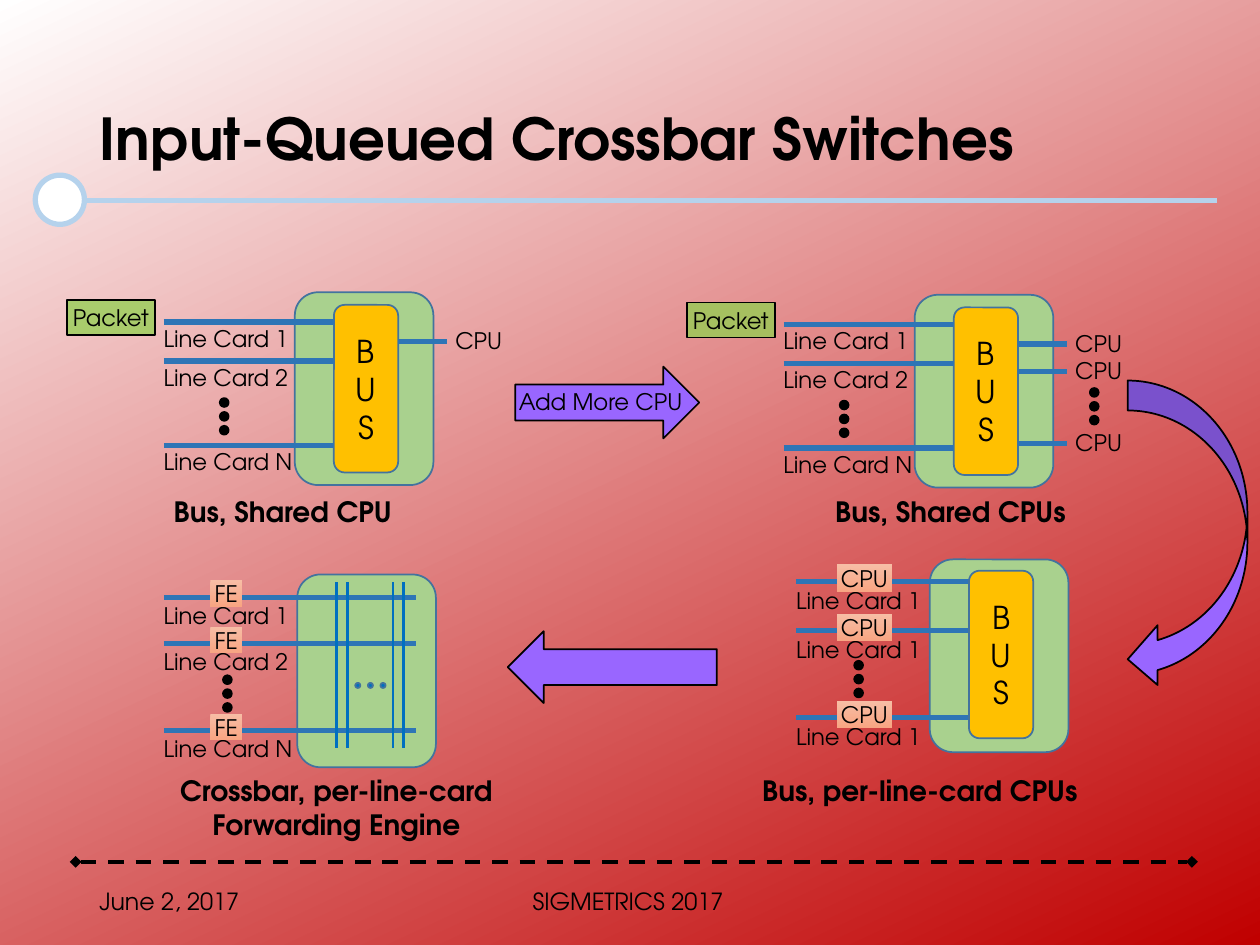
from dataclasses import dataclass

from lxml.etree import SubElement
from pptx import Presentation
from pptx.dml.color import RGBColor
from pptx.enum.dml import MSO_LINE_DASH_STYLE as Dash
from pptx.enum.shapes import MSO_CONNECTOR, MSO_SHAPE as Shape
from pptx.enum.text import MSO_ANCHOR as Anchor, MSO_AUTO_SIZE as AutoSize, PP_ALIGN as Align
from pptx.oxml.ns import qn
from pptx.util import Inches, Pt


@dataclass(frozen=True)
class Theme:
    font: str = "TeX Gyre Adventor"
    ink: str = "000000"
    paper: str = "FFFFFF"
    corner: str = "C00000"
    rule: str = "B5D2EC"
    card: str = "2E75B6"
    lane: str = "0070C0"
    edge: str = "43739E"
    case: str = "A9D18E"
    bus: str = "FFC000"
    packet: str = "92D050"
    arrow: str = "9966FF"
    chip: tuple = ("F7BDA5", "F8A582")
    title_size: float = 33
    bus_size: float = 18
    caption_size: float = 16
    footer_size: float = 13.5
    label_size: float = 13


T = Theme()
WIDTH, HEIGHT = Inches(10), Inches(7.5)
COL, ROW = WIDTH // 100, HEIGHT // 75


def place(x, y, w, h):
    return int(x * COL), int(y * ROW), int(w * COL), int(h * ROW)


def rgb(value):
    return RGBColor.from_string(value)


def blend(fill, colors, angle):
    fill.gradient()
    fill.gradient_angle = 360 - angle
    for stop, color in zip(fill.gradient_stops, colors):
        stop.color.rgb = rgb(color)


def write(tf, text, size, bold=False, align=Align.LEFT, anchor=Anchor.TOP, wrap=True):
    tf.text = text
    tf.word_wrap = wrap
    tf.vertical_anchor = anchor
    for p in tf.paragraphs:
        p.alignment = align
        for r in p.runs:
            r.font.size = Pt(size)
            r.font.bold = bold
            r.font.color.rgb = rgb(T.ink)
            r.font.name = T.font


def add_text(slide, text, box, size=T.label_size, **style):
    s = slide.shapes.add_textbox(*place(*box))
    write(s.text_frame, text, size, **style)


def add_block(slide, kind, box, fill, line=None, width=1):
    s = slide.shapes.add_shape(kind, *place(*box))
    s.shadow.inherit = False
    if isinstance(fill, tuple):
        blend(s.fill, fill, 90)
    else:
        s.fill.solid()
        s.fill.fore_color.rgb = rgb(fill)
    if line:
        s.line.color.rgb = rgb(line)
        s.line.width = Pt(width)
    else:
        s.line.fill.background()
    return s


def add_tag(slide, text, box, fill, line=None):
    s = add_block(slide, Shape.RECTANGLE, box, fill, line)
    tf = s.text_frame
    tf.margin_left = tf.margin_right = Inches(0.01)
    write(tf, text, T.label_size, align=Align.CENTER, anchor=Anchor.MIDDLE)
    return s


def add_line(slide, x1, y1, x2, y2, color=T.card, width=3):
    s = slide.shapes.add_connector(MSO_CONNECTOR.STRAIGHT, *place(x1, y1, x2, y2))
    s.line.color.rgb = rgb(color)
    s.line.width = Pt(width)
    SubElement(s._element.spPr, qn("a:effectLst"))
    return s


def add_dots(slide, x, y, dx=0, dy=1.1, size=0.7, fill=T.ink, line=T.ink):
    for i in range(3):
        add_block(slide, Shape.OVAL, (x + i * dx, y + i * dy, size, size), fill, line)


def add_case(slide, x, y):
    add_block(slide, Shape.ROUNDED_RECTANGLE, (x, y, 11, 15.3), T.case, T.edge)


def add_bus(slide, x, y):
    s = add_block(slide, Shape.ROUNDED_RECTANGLE, (x, y, 5.1, 13.3), T.bus, T.edge)
    write(s.text_frame, "BUS", T.bus_size, align=Align.CENTER, anchor=Anchor.MIDDLE)


def add_cards(slide, x, y, length, rows, names, label_dy):
    for row, name in zip(rows, names):
        add_line(slide, x, y + row, x + length, y + row)
        add_text(slide, f"Line Card {name}", (x - 1, y + row + label_dy, 16.3, 3.2))


def add_chips(slide, text, x, y, w, h, rows):
    for row in rows:
        add_tag(slide, text, (x, y + row - 1.35, w, h), T.chip)


def add_shared_bus(slide, x, y, cpu_rows):
    add_case(slide, x, y)
    add_bus(slide, x + 3.1, y + 1)
    add_cards(slide, x - 10.4, y, 13.5, (2.35, 5.45, 12.15), "12N", -0.3)
    add_dots(slide, x - 5.95, y + 8.4)
    for row in cpu_rows:
        add_line(slide, x + 8.2, y + row, x + 12.1, y + row)
        add_text(slide, "CPU", (x + 11.75, y + row - 1.65, 5.8, 3.2), wrap=False)
    s = add_tag(slide, "Packet", (x - 18.1, y + 0.6, 7, 2.8), T.packet, T.ink)
    color = s._element.spPr.find(qn("a:solidFill")).find(qn("a:srgbClr"))
    SubElement(color, qn("a:alpha"), val="75000")


def add_card_cpus(slide, x, y):
    rows = (1.75, 5.65, 12.55)
    add_case(slide, x, y)
    add_cards(slide, x - 10.6, y, 13.7, rows, "111", -0.1)
    add_dots(slide, x - 6, y + 8.05)
    add_chips(slide, "CPU", x - 7.4, y, 4.4, 2.2, rows)
    add_bus(slide, x + 3.1, y + 0.9)


def add_crossbar(slide, x, y):
    rows = (1.8, 5.5, 12.4)
    add_case(slide, x, y)
    add_cards(slide, x - 10.6, y, 20, rows, "12N", -0.15)
    add_dots(slide, x - 5.9, y + 8)
    add_chips(slide, "FE", x - 6.9, y, 2.5, 2.1, rows)
    for lane in (3.1, 4, 7.6, 8.4):
        add_line(slide, x + lane, y + 0.6, x + lane, y + 13.8, T.lane, 1.5)
    add_dots(slide, x + 4.6, y + 8.6, 1, 0, 0.4, T.lane, T.edge)


def add_frame(slide):
    blend(slide.background.fill, (T.paper, T.corner), 65)
    add_line(slide, 6.9, 15.9, 96.6, 15.9, T.rule)
    add_block(slide, Shape.OVAL, (2.8, 13.9, 3.9, 3.9), T.paper, T.rule, 3)
    s = add_line(slide, 6, 68.4, 94.6, 68.4, T.ink, 2.25)
    s.line.dash_style = Dash.DASH
    for end in ("a:headEnd", "a:tailEnd"):
        SubElement(s.line._get_or_add_ln(), qn(end), type="diamond")
    for text, box, align in (
        ("June 2, 2017", (6.9, 69.5, 22.5, 4), Align.LEFT),
        ("SIGMETRICS 2017", (24.1, 69.5, 51.5, 4), Align.CENTER),
    ):
        add_text(slide, text, box, T.footer_size, align=align, anchor=Anchor.MIDDLE)


def set_title(slide, text):
    s = slide.shapes.title
    s.left, s.top, s.width, s.height = place(6.9, 4, 86.2, 14.5)
    tf = s.text_frame
    write(tf, text, T.title_size, bold=True, anchor=Anchor.MIDDLE)
    tf.auto_size = AutoSize.NONE
    p = tf.paragraphs[0]
    p.line_spacing = 0.9
    rpr = p.runs[0].font._element
    effects = rpr.makeelement(qn("a:effectLst"))
    rpr.find(qn("a:solidFill")).addnext(effects)
    shadow = SubElement(effects, qn("a:outerShdw"), blurRad="38100", dist="38100", dir="2700000")
    color = SubElement(shadow, qn("a:srgbClr"), val=T.ink)
    SubElement(color, qn("a:alpha"), val="43000")


def main():
    prs = Presentation()
    prs.slide_width, prs.slide_height = WIDTH, HEIGHT
    slide = prs.slides.add_slide(prs.slide_layouts[5])
    add_frame(slide)
    set_title(slide, "Input-Queued Crossbar Switches")

    add_shared_bus(slide, 23.4, 23.2, (3.9,))
    add_shared_bus(slide, 72.6, 23.4, (3.9, 6.1, 11.8))
    add_dots(slide, 86.5, 30.8)
    add_card_cpus(slide, 73.8, 44.4)
    add_crossbar(slide, 23.6, 45.6)

    for kind, box in (
        (Shape.RIGHT_ARROW, (40.9, 29.1, 14.6, 5.7)),
        (Shape.CURVED_LEFT_ARROW, (89.5, 30.2, 9.5, 24.5)),
        (Shape.LEFT_ARROW, (40.3, 50.1, 16.6, 5.7)),
    ):
        add_block(slide, kind, box, T.arrow, T.ink)
    add_text(slide, "Add More CPU", (40.2, 30.3, 15.3, 3.2), wrap=False)

    for text, box, align in (
        ("Bus, Shared CPU", (12.8, 38.8, 19.7, 3.7), Align.LEFT),
        ("Bus, Shared CPUs", (65.3, 38.8, 20.6, 3.7), Align.LEFT),
        ("Bus, per-line-card CPUs", (59.5, 60.9, 27.5, 3.7), Align.LEFT),
        ("Crossbar, per-line-card\nForwarding Engine", (12.7, 60.9, 28, 6.4), Align.CENTER),
    ):
        add_text(slide, text, box, T.caption_size, bold=True, align=align, wrap=False)
    prs.save("out.pptx")


if __name__ == "__main__":
    main()
